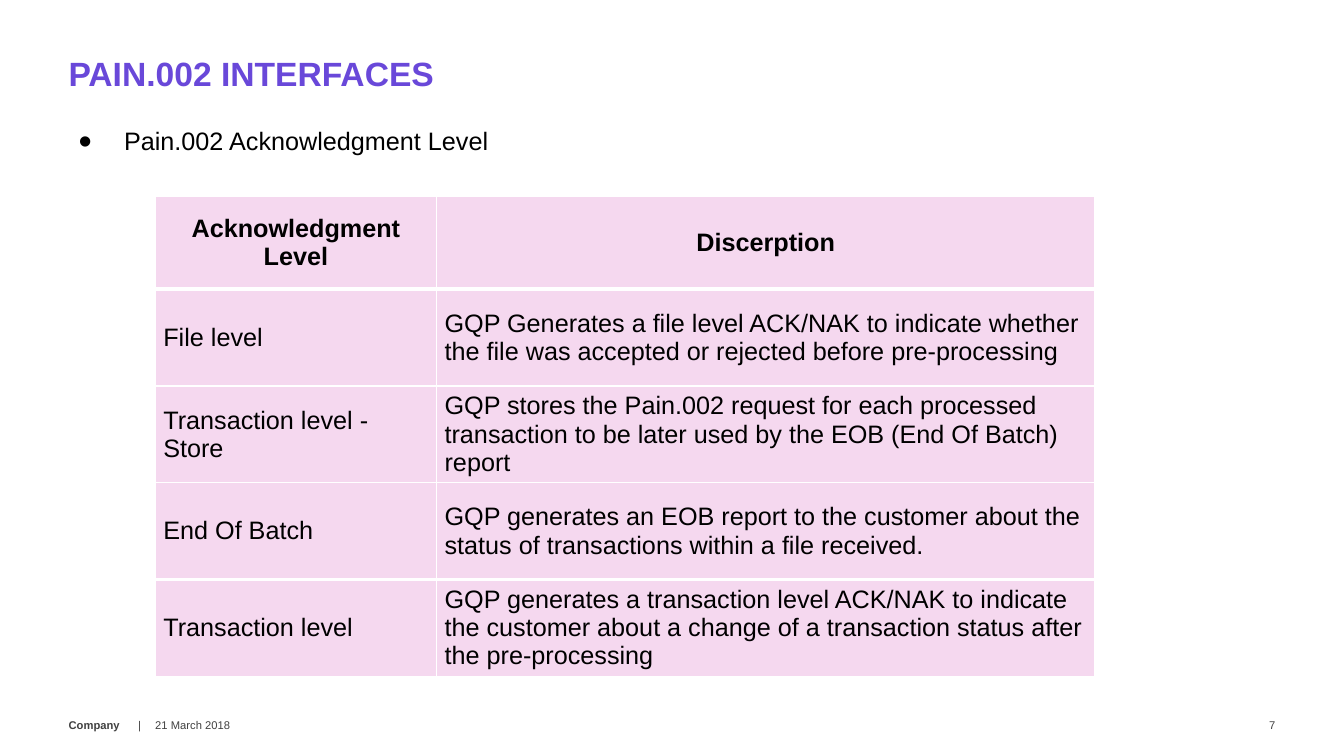
from lxml.etree import SubElement
from pptx import Presentation
from pptx.dml.color import RGBColor
from pptx.enum.text import MSO_AUTO_SIZE as AutoSize, MSO_ANCHOR as Anchor, PP_ALIGN as Align
from pptx.oxml.ns import qn
from pptx.util import Inches, Pt


def assign(target, values):
    for name, value in values.items():
        setattr(target, name, value)


def write(para, text, size, color, bold=False):
    span = para.add_run()
    span.text = text
    assign(span.font, {"name": "Arial", "size": Pt(size), "bold": bold})
    span.font.color.rgb = RGBColor.from_string(color)


PURPLE, BLACK, GRAY, PINK, WHITE = "6948D9", "000000", "414141", "F5D8EF", "FFFFFF"
FLUSH = {"margin_left": 0, "margin_top": 0, "margin_right": 0, "margin_bottom": 0,
         "word_wrap": True, "auto_size": AutoSize.NONE}

deck = Presentation()
assign(deck, {"slide_width": Inches(13.33), "slide_height": Inches(7.5)})
page = deck.slides.add_slide(deck.slide_layouts[1])

title = page.shapes.title
assign(title, {"left": Inches(0.68), "top": Inches(0.19), "width": Inches(10.6), "height": Inches(0.73)})
assign(title.text_frame, {**FLUSH, "vertical_anchor": Anchor.BOTTOM})
para = title.text_frame.paragraphs[0]
assign(para, {"alignment": Align.LEFT, "line_spacing": 0.8})
write(para, "PAIN.002 INTERFACES", 24, PURPLE, True)

body = page.placeholders[1]
assign(body, {"left": Inches(0.68), "top": Inches(1.23), "width": Inches(9.97), "height": Inches(1.34)})
assign(body.text_frame, {"word_wrap": True, "auto_size": AutoSize.NONE, "vertical_anchor": Anchor.TOP})
para = body.text_frame.paragraphs[0]
props = para._p.get_or_add_pPr()
props.set("marL", str(Inches(0.45)))
props.set("indent", str(Inches(-0.45)))
for tag, key, value in [("a:buSzPct", "val", "150000"), ("a:buFont", "typeface", "Arial"), ("a:buChar", "char", "•")]:
    SubElement(props, qn(tag)).set(key, value)
assign(para, {"line_spacing": 0.9, "space_before": Pt(0)})
write(para, "Pain.002 Acknowledgment Level", 18, BLACK)

levels = [
    ("Acknowledgment Level", "Discerption"),
    ("File level", "GQP Generates a file level ACK/NAK to indicate whether the file was accepted "
                   "or rejected before pre-processing"),
    ("Transaction level - Store", "GQP stores the Pain.002 request for each processed transaction to be later "
                                  "used by the EOB (End Of Batch) report"),
    ("End Of Batch", "GQP generates an EOB report to the customer about the status of transactions "
                     "within a file received."),
    ("Transaction level", "GQP generates a transaction level ACK/NAK to indicate the customer about a change "
                          "of a transaction status after the pre-processing"),
]
last = len(levels) - 1
table = page.shapes.add_table(len(levels), 2, Inches(1.54), Inches(1.95), Inches(9.32), Inches(4.76)).table
for column, width in zip(table.columns, (2.79, 6.53)):
    column.width = Inches(width)
for index, texts in enumerate(levels):
    header = index == 0
    table.rows[index].height = Inches(0.92 if header else 0.96)
    weights = {"a:lnL": 1, "a:lnR": 1, "a:lnT": 3 if index in (1, last) else 1,
               "a:lnB": 3 if index in (0, last - 1) else 1}
    for cell, text in zip(table.rows[index].cells, texts):
        assign(cell, {"margin_left": Inches(0.08), "margin_right": Inches(0.08), "margin_top": 0,
                      "margin_bottom": 0, "vertical_anchor": Anchor.MIDDLE})
        for tag, weight in weights.items():
            border = SubElement(cell._tc.get_or_add_tcPr(), qn(tag), w=str(Pt(weight)))
            SubElement(SubElement(border, qn("a:solidFill")), qn("a:srgbClr"), val=WHITE)
        cell.fill.solid()
        cell.fill.fore_color.rgb = RGBColor.from_string(PINK)
        para = cell.text_frame.paragraphs[0]
        para.alignment = Align.CENTER if header else Align.LEFT
        write(para, text, 18, BLACK, header)

footers = [
    (0.68, 0.89, Align.LEFT, [("Company", True), ("\t|", False)]),
    (1.54, 1.53, Align.LEFT, [("21 March 2018", False)]),
    (12.11, 0.54, Align.RIGHT, [("7", False)]),
]
for left, width, alignment, spans in footers:
    box = page.shapes.add_textbox(Inches(left), Inches(6.99), Inches(width), Inches(0.4))
    assign(box.text_frame, {**FLUSH, "vertical_anchor": Anchor.MIDDLE})
    para = box.text_frame.paragraphs[0]
    para.alignment = alignment
    if len(spans) > 1:
        stops = SubElement(para._p.get_or_add_pPr(), qn("a:tabLst"))
        SubElement(stops, qn("a:tab"), pos=str(Inches(0.69)), algn="l")
    for text, bold in spans:
        write(para, text, 8, GRAY, bold)

deck.save("out.pptx")
